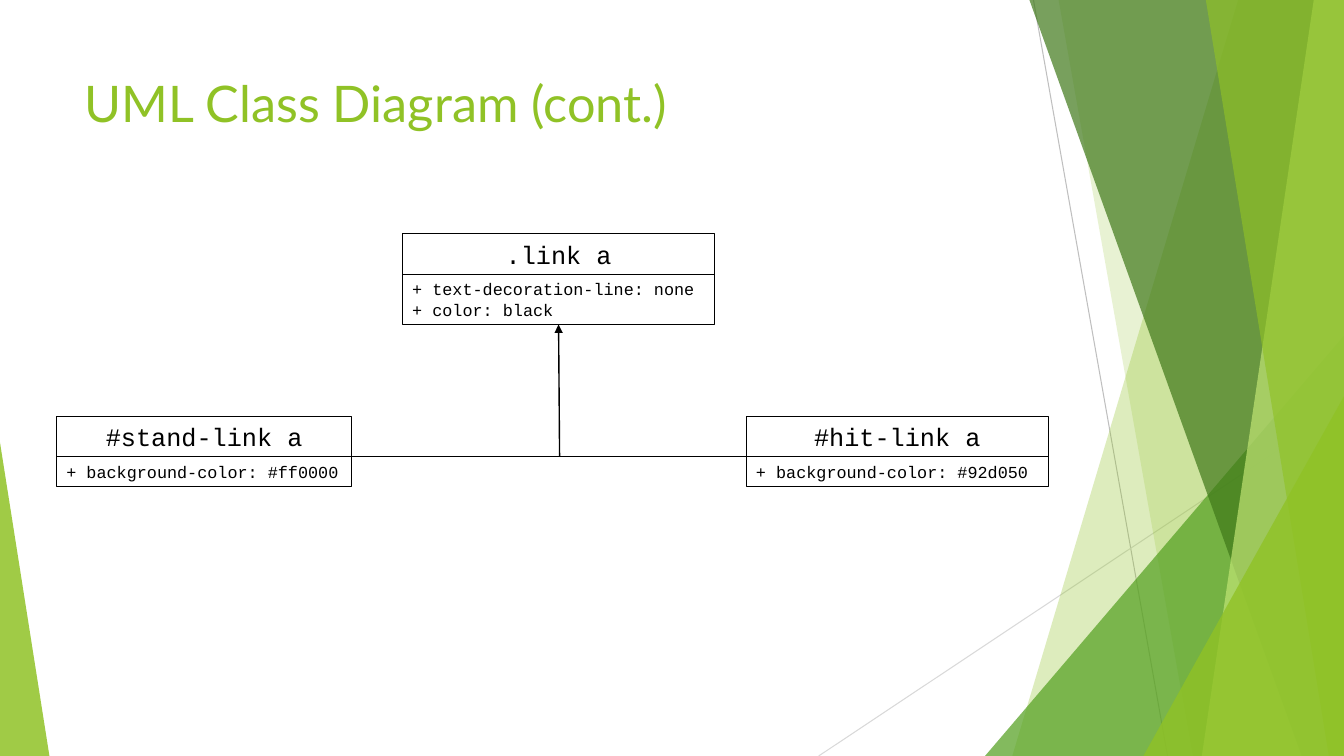
from lxml.etree import SubElement
from pptx import Presentation
from pptx.dml.color import RGBColor
from pptx.enum.shapes import MSO_CONNECTOR, MSO_SHAPE
from pptx.enum.text import MSO_ANCHOR, MSO_AUTO_SIZE, PP_ALIGN
from pptx.oxml.ns import qn
from pptx.util import Emu, Pt

PX = 9144
WIDTH, HEIGHT = 1333, 750

BLACK = RGBColor(0x00, 0x00, 0x00)
LIME = RGBColor(0x90, 0xC2, 0x26)
PALE_LIME = RGBColor(0xC0, 0xE4, 0x74)
GREEN = RGBColor(0x54, 0xA0, 0x21)
DARK_GREEN = RGBColor(0x3F, 0x78, 0x19)
GRAY = RGBColor(0xBF, 0xBF, 0xBF)
LIGHT_GRAY = RGBColor(0xD9, 0xD9, 0xD9)


def px(*lengths):
    return [Emu(n * PX) for n in lengths]


def set_text(tf, lines, size, font, color=BLACK, align=PP_ALIGN.LEFT,
             anchor=MSO_ANCHOR.MIDDLE, auto_size=MSO_AUTO_SIZE.NONE):
    tf.word_wrap = True
    tf.vertical_anchor = anchor
    tf.auto_size = auto_size
    for i, line in enumerate(lines):
        p = tf.add_paragraph() if i else tf.paragraphs[0]
        p.alignment = align
        r = p.add_run()
        r.text = line
        r.font.size = Pt(size)
        r.font.name = font
        r.font.color.rgb = color


def add_line(shapes, start, end, color=BLACK, width=1, arrow=False):
    sp = shapes.add_connector(MSO_CONNECTOR.STRAIGHT, *px(*start, *end))
    sp.line.color.rgb = color
    sp.line.width = Pt(width)
    if arrow:
        SubElement(sp.line._get_or_add_ln(), qn("a:tailEnd"), type="triangle")
    SubElement(sp._element.spPr, qn("a:effectLst"))


def fill_facet(sp, color, opacity):
    sp.shadow.inherit = False
    sp.line.fill.background()
    sp.fill.solid()
    sp.fill.fore_color.rgb = color
    clr = sp._element.spPr.find(qn("a:solidFill"))[0]
    SubElement(clr, qn("a:alpha"), val=str(opacity * 1000))


def add_band(shapes, top_x, bottom_x, color, opacity):
    fb = shapes.build_freeform(top_x, 0, scale=PX)
    fb.add_line_segments([(WIDTH, 0), (WIDTH, HEIGHT), (bottom_x, HEIGHT)])
    fill_facet(fb.convert_to_shape(), color, opacity)


def add_triangle(shapes, x, y, w, apex, color, opacity):
    sp = shapes.add_shape(MSO_SHAPE.ISOSCELES_TRIANGLE, *px(x, y, w, HEIGHT - y))
    sp.adjustments[0] = apex
    fill_facet(sp, color, opacity)


def add_facets(shapes):
    add_line(shapes, (1025, 0), (1158, HEIGHT), GRAY, 0.75)
    add_line(shapes, (WIDTH, 403), (812, HEIGHT), LIGHT_GRAY, 0.75)
    add_band(shapes, 1228, 1004, LIME, 30)
    add_band(shapes, 1050, 1183, LIME, 20)
    add_triangle(shapes, 977, 333, 356, 1, GREEN, 72)
    add_band(shapes, 1021, 1291, DARK_GREEN, 70)
    add_band(shapes, 1303, 1192, PALE_LIME, 70)
    add_band(shapes, 1196, 1318, LIME, 65)
    add_triangle(shapes, 1134, 393, 199, 1, LIME, 80)
    add_triangle(shapes, 0, 439, 49, 0, LIME, 85)


def add_box(shapes, x, y, w, h, lines, size, align):
    sp = shapes.add_shape(MSO_SHAPE.RECTANGLE, *px(x, y, w, h))
    sp.shadow.inherit = False
    sp.fill.background()
    sp.line.color.rgb = BLACK
    sp.line.width = Pt(0.75)
    set_text(sp.text_frame, lines, size, "Courier New", align=align,
             auto_size=MSO_AUTO_SIZE.SHAPE_TO_FIT_TEXT)


def add_class(shapes, x, y, w, name, attributes):
    name_h = 40
    group = shapes.add_group_shape().shapes
    add_box(group, x, y, w, name_h, [name], 18, PP_ALIGN.CENTER)
    add_box(group, x, y + name_h, w, 10 + 20 * len(attributes),
            attributes, 12, PP_ALIGN.LEFT)


def add_title(s, text):
    sp = s.shapes.title
    sp.left, sp.top, sp.width, sp.height = px(74, 67, 940, 144)
    set_text(sp.text_frame, [text], 36, "Lato", color=LIME, anchor=MSO_ANCHOR.TOP)


def main():
    prs = Presentation()
    prs.slide_width, prs.slide_height = px(WIDTH, HEIGHT)
    s = prs.slides.add_slide(prs.slide_layouts[5])
    add_facets(s.shapes)
    add_title(s, "UML Class Diagram (cont.)")
    add_class(s.shapes, 399, 232, 310, ".link a",
              ["+ text-decoration-line: none", "+ color: black"])
    add_class(s.shapes, 56, 413, 293, "#stand-link a",
              ["+ background-color: #ff0000"])
    add_class(s.shapes, 740, 413, 300, "#hit-link a",
              ["+ background-color: #92d050"])
    add_line(s.shapes, (349, 453), (534, 453))
    add_line(s.shapes, (555, 453), (554, 322), arrow=True)
    add_line(s.shapes, (534, 453), (740, 453))
    prs.save("out.pptx")


if __name__ == "__main__":
    main()
